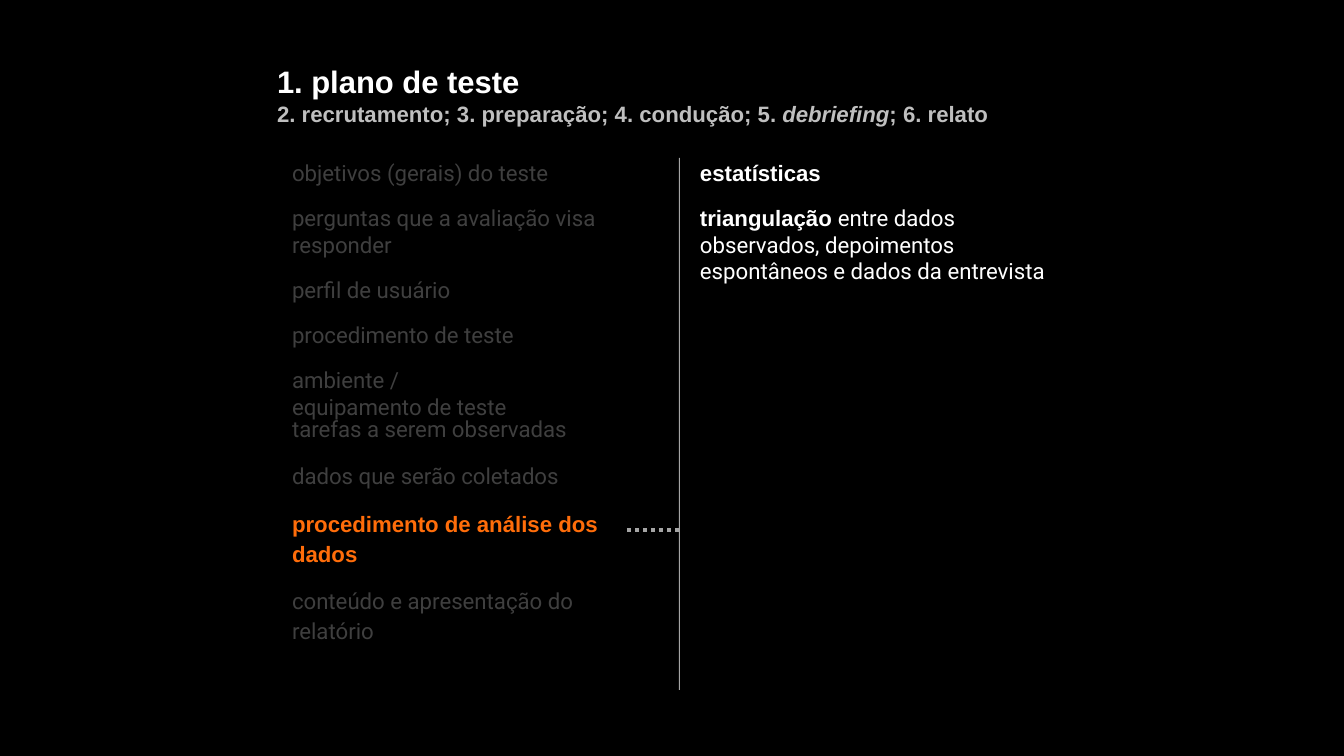
from dataclasses import dataclass

from lxml import etree
from pptx import Presentation
from pptx.dml.color import RGBColor
from pptx.enum.dml import MSO_LINE
from pptx.enum.shapes import MSO_CONNECTOR, MSO_SHAPE
from pptx.enum.text import MSO_ANCHOR, MSO_AUTO_SIZE, PP_ALIGN
from pptx.oxml.ns import qn
from pptx.util import Pt

RECTANGLE = MSO_SHAPE.RECTANGLE
STRAIGHT = MSO_CONNECTOR.STRAIGHT
DOTTED = MSO_LINE.ROUND_DOT
TOP = MSO_ANCHOR.TOP
LEFT = PP_ALIGN.LEFT
FIXED = MSO_AUTO_SIZE.NONE

BLACK = RGBColor(0x00, 0x00, 0x00)
WHITE = RGBColor(0xFF, 0xFF, 0xFF)
SILVER = RGBColor(0xBF, 0xBF, 0xBF)
DIM = RGBColor(0x3F, 0x3F, 0x3F)
ORANGE = RGBColor(0xFF, 0x6D, 0x0A)
RULE_GRAY = RGBColor(0xA5, 0xA5, 0xA5)

COMPARISON_LAYOUT = 4
PAGE_WIDTH, PAGE_HEIGHT = 1344, 756
TITLE_SIZE = 16.6
BODY_SIZE = 11.9
GAP = 9.9


def px(length: int) -> int:
    """Turn pixels (134.4 to the inch) into EMU."""
    return round(length * 914400 / 134.4)


@dataclass(frozen=True)
class Span:
    text: str
    color: RGBColor = DIM
    bold: bool = False
    italic: bool = False
    size: float = BODY_SIZE


@dataclass(frozen=True)
class Para:
    spans: tuple[Span, ...]
    before: float = GAP
    spacing: float = 1.0
    right_indent: int = 0


@dataclass(frozen=True)
class Block:
    placeholder: int
    left: int
    top: int
    width: int
    height: int
    paras: tuple[Para, ...]


def dim(text: str, before: float = GAP, spacing: float = 1.0,
        right_indent: int = 0) -> Para:
    return Para((Span(text),), before, spacing, right_indent)


BLOCKS = (
    # Title and the remaining steps
    Block(0, 276, 62, 250, 39, (
        Para((Span("1. plano de teste", WHITE, True, size=TITLE_SIZE),)),
    )),
    Block(1, 276, 100, 715, 28, (
        Para((
            Span("2. recrutamento; 3. preparação; 4. condução; 5. ", SILVER, True),
            Span("debriefing", SILVER, True, True),
            Span("; 6. relato", SILVER, True),
        )),
    )),
    # Parts of the plan, in two stacked lists
    Block(2, 291, 159, 326, 238, (
        dim("objetivos (gerais) do teste"),
        dim("perguntas que a avaliação visa responder"),
        dim("perfil de usuário"),
        dim("procedimento de teste"),
        dim("ambiente / equipamento de teste", right_indent=98),
    )),
    Block(3, 291, 415, 309, 230, (
        dim("tarefas a serem observadas"),
        dim("dados que serão coletados", 11.3),
        Para((Span("procedimento de análise dos dados", ORANGE, True),), spacing=1.1),
        dim("conteúdo e apresentação do relatório", spacing=1.1),
    )),
    # Details of the highlighted part
    Block(4, 699, 159, 348, 128, (
        Para((Span("estatísticas", WHITE, True),)),
        Para((
            Span("triangulação ", WHITE, True),
            Span("entre dados observados, depoimentos espontâneos "
                 "e dados da entrevista", WHITE),
        )),
    )),
)


def fill_block(page, block: Block) -> None:
    box = page.placeholders[block.placeholder]
    box.left, box.top = px(block.left), px(block.top)
    box.width, box.height = px(block.width), px(block.height)
    frame = box.text_frame
    frame.word_wrap = True
    frame.auto_size = FIXED
    frame.vertical_anchor = TOP
    frame.margin_left = px(1)
    frame.margin_top = frame.margin_right = frame.margin_bottom = 0
    for index, item in enumerate(block.paras):
        para = frame.paragraphs[0] if index == 0 else frame.add_paragraph()
        properties = para._p.get_or_add_pPr()
        properties.set("marL", "0")
        properties.set("marR", str(px(item.right_indent)))
        properties.set("indent", "0")
        etree.SubElement(properties, qn("a:buNone"))
        para.alignment = LEFT
        para.line_spacing = item.spacing
        para.space_before = Pt(item.before if index else 0)
        for span in item.spans:
            add_span(para, span)


def add_span(para, span: Span) -> None:
    run = para.add_run()
    run.text = span.text
    run.font.name = "Arial" if span.bold else "Roboto"
    run.font.size = Pt(span.size)
    run.font.bold = span.bold
    run.font.italic = span.italic
    run.font.color.rgb = span.color


def add_panel(page, left: int, top: int, width: int, height: int, color: RGBColor):
    panel = page.shapes.add_shape(RECTANGLE, px(left), px(top), px(width), px(height))
    panel.shadow.inherit = False
    panel.fill.solid()
    panel.fill.fore_color.rgb = color
    panel.line.fill.background()
    return panel


def add_link(page) -> None:
    link = page.shapes.add_connector(STRAIGHT, px(627), px(530), px(680), px(530))
    link.line.color.rgb = RULE_GRAY
    link.line.width = Pt(2.16)
    link.line.dash_style = DOTTED
    etree.SubElement(link._element.spPr, qn("a:effectLst"))


def main() -> None:
    deck = Presentation()
    deck.slide_width, deck.slide_height = px(PAGE_WIDTH), px(PAGE_HEIGHT)
    page = deck.slides.add_slide(deck.slide_layouts[COMPARISON_LAYOUT])

    # Black backdrop, sent behind the placeholders
    backdrop = add_panel(page, 0, 0, PAGE_WIDTH, PAGE_HEIGHT, BLACK)
    page.shapes._spTree.insert(2, backdrop._element)

    for block in BLOCKS:
        fill_block(page, block)

    # Vertical rule and the dotted link from the highlighted part
    add_panel(page, 679, 158, 1, 532, RULE_GRAY)
    add_link(page)
    deck.save("out.pptx")


if __name__ == "__main__":
    main()
